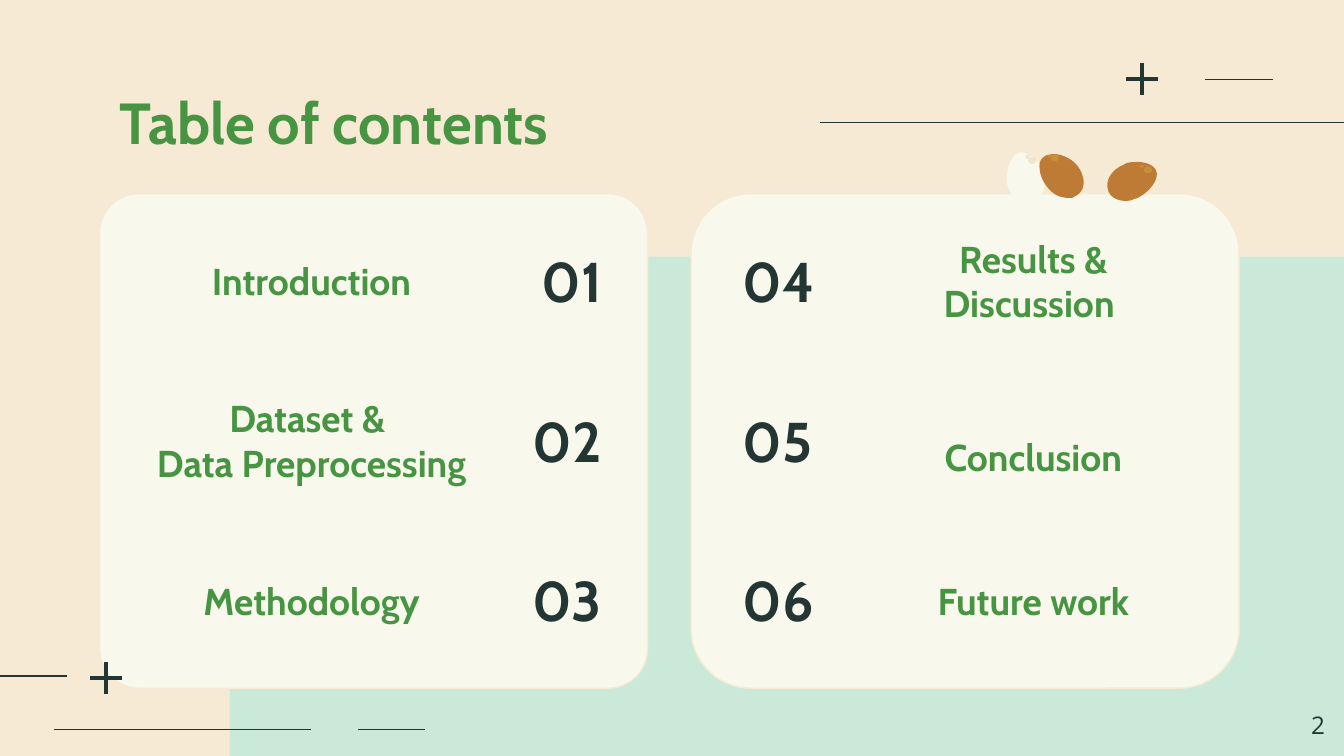
from dataclasses import dataclass
from lxml.etree import SubElement
from pptx import Presentation
from pptx.dml.color import RGBColor
from pptx.enum.shapes import MSO_CONNECTOR, MSO_SHAPE
from pptx.enum.text import MSO_ANCHOR, PP_ALIGN
from pptx.oxml.ns import qn
from pptx.util import Cm, Pt


@dataclass(frozen=True)
class Theme:
    sand: str = "F6EAD4"
    mint: str = "CAE9D9"
    cream: str = "F8F8EC"
    green: str = "479442"
    dark: str = "233634"
    brown: str = "BD7B36"
    yellow: str = "FAEA3F"
    heading_font: str = "Cabin"
    body_font: str = "Open Sans"
    title_size: float = 31
    number_size: float = 30
    label_size: float = 20
    page_size: float = 13
    line_width: float = 0.75


class Deck:
    def __init__(self, s, theme):
        self.s = s
        self.theme = theme
        s.background.fill.solid()
        s.background.fill.fore_color.rgb = RGBColor.from_string(theme.sand)

    def paint(self, sp, fill, line=None, alpha=None):
        sp.shadow.inherit = False
        sp.fill.solid()
        sp.fill.fore_color.rgb = RGBColor.from_string(fill)
        if alpha:
            color = sp._element.spPr.find(qn("a:solidFill"))[0]
            SubElement(color, qn("a:alpha"), val=str(alpha * 1000))
        if line:
            sp.line.color.rgb = RGBColor.from_string(line)
            sp.line.width = Pt(self.theme.line_width)
        else:
            sp.line.fill.background()

    def shape(self, kind, box, fill, line=None, adj=None, alpha=None):
        sp = self.s.shapes.add_shape(kind, *map(Cm, box))
        if adj is not None:
            sp.adjustments[0] = adj
        self.paint(sp, fill, line, alpha)
        return sp

    def outline(self, points, fill, rotation=0):
        points = [(Cm(x), Cm(y)) for x, y in points]
        builder = self.s.shapes.build_freeform(*points[0], scale=1.0)
        builder.add_line_segments(points[1:], close=True)
        sp = builder.convert_to_shape()
        sp.rotation = rotation
        self.paint(sp, fill)

    def curve(self, start, segments, fill, rotation, steps=10):
        points = [start]
        for c1, c2, end in segments:
            p0 = points[-1]
            for i in range(1, steps + 1):
                t = i / steps
                u = 1 - t
                points.append(tuple(
                    u**3 * a + 3 * u * u * t * b + 3 * u * t * t * c + t**3 * d
                    for a, b, c, d in zip(p0, c1, c2, end)))
        self.outline(points, fill, rotation)

    def plus(self, cx, cy, size=0.61, thick=0.07):
        for w, h in ((size, thick), (thick, size)):
            left, right, top, bottom = cx - w / 2, cx + w / 2, cy - h / 2, cy + h / 2
            self.outline([(left, top), (left, bottom), (right, bottom), (right, top)],
                         self.theme.dark)

    def line(self, x1, x2, y):
        cxn = self.s.shapes.add_connector(
            MSO_CONNECTOR.STRAIGHT, Cm(x1), Cm(y), Cm(x2), Cm(y))
        cxn.line.color.rgb = RGBColor.from_string(self.theme.dark)
        cxn.line.width = Pt(self.theme.line_width)
        SubElement(cxn._element.spPr, qn("a:effectLst"))

    def text(self, box, text, size, color, align=PP_ALIGN.LEFT,
             anchor=MSO_ANCHOR.MIDDLE, font=None, bold=True):
        tf = self.s.shapes.add_textbox(*map(Cm, box)).text_frame
        tf.word_wrap = True
        tf.vertical_anchor = anchor
        tf.margin_left = tf.margin_right = tf.margin_top = tf.margin_bottom = Cm(0.25)
        tf.text = text
        for p in tf.paragraphs:
            p.alignment = align
            for r in p.runs:
                r.font.size = Pt(size)
                r.font.bold = bold
                r.font.name = font or self.theme.heading_font
                r.font.color.rgb = RGBColor.from_string(color)


ROW_PITCH = 3.02
EGG_ROTATION = -6.8
COLUMNS = [
    (1.88, 0.08, 2.64, 9.5, PP_ALIGN.RIGHT,
     [("Introduction", 0), ("Dataset & \nData Preprocessing", 0), ("Methodology", 0)]),
    (13.06, 0.121, 16.28, 13.79, PP_ALIGN.LEFT,
     [("Results & Discussion ", 0), ("Conclusion", 0.31), ("Future work", 0)]),
]
EGGS = [
    ("cream", (19.33, 2.87), [
        ((19.15, 2.9), (19.02, 3.18), (19.02, 3.43)),
        ((19.05, 3.66), (19.2, 3.86), (19.41, 3.84)),
        ((19.61, 3.84), (19.74, 3.63), (19.74, 3.38)),
        ((19.71, 3.15), (19.53, 2.87), (19.33, 2.87))],
     "brown", 14, [(19.43, 2.97, 0.15, 0.13), (19.38, 2.92, 0.08, 0.08)]),
    ("brown", (19.86, 2.9), [
        ((19.81, 2.9), (19.79, 2.92), (19.74, 2.95)),
        ((19.61, 3.05), (19.66, 3.38), (19.81, 3.56)),
        ((19.91, 3.71), (20.09, 3.76), (20.22, 3.76)),
        ((20.27, 3.73), (20.32, 3.73), (20.37, 3.68)),
        ((20.5, 3.58), (20.5, 3.33), (20.35, 3.12)),
        ((20.22, 2.97), (20.02, 2.87), (19.86, 2.9))],
     "yellow", 18, [(19.86, 2.92, 0.15, 0.13), (19.79, 2.92, 0.08, 0.05)]),
    ("brown", (21.36, 3.07), [
        ((21.31, 3.07), (21.29, 3.1), (21.26, 3.1)),
        ((21.01, 3.18), (20.88, 3.38), (20.93, 3.56)),
        ((20.96, 3.71), (21.16, 3.81), (21.36, 3.78)),
        ((21.39, 3.76), (21.41, 3.76), (21.44, 3.76)),
        ((21.69, 3.68), (21.92, 3.45), (21.87, 3.28)),
        ((21.82, 3.12), (21.56, 3.05), (21.36, 3.07))],
     "yellow", 18, [(21.62, 3.15, 0.15, 0.13), (21.54, 3.12, 0.08, 0.05)]),
]


def main():
    theme = Theme()
    prs = Presentation()
    prs.slide_width, prs.slide_height = Cm(25.4), Cm(14.29)
    deck = Deck(prs.slides.add_slide(prs.slide_layouts[6]), theme)

    panel = deck.shape(MSO_SHAPE.ROUND_1_RECTANGLE, (4.34, 4.85, 21.06, 9.44),
                       theme.mint, adj=0.307)
    panel._element.spPr.find(qn("a:xfrm")).set("flipH", "1")
    deck.plus(21.58, 1.5)
    for x1, x2, y in ((22.78, 24.05, 1.5), (6.76, 8.03, 13.79), (0, 1.27, 12.78)):
        deck.line(x1, x2, y)

    for card_x, adj, *_ in COLUMNS:
        deck.shape(MSO_SHAPE.ROUNDED_RECTANGLE, (card_x, 3.66, 10.36, 9.35),
                   theme.cream, theme.sand, adj)
    number = 1
    for _, _, label_x, number_x, align, entries in COLUMNS:
        for row, (label, drop) in enumerate(entries):
            y = row * ROW_PITCH
            deck.text((label_x, 4.57 + y + drop, 6.5, 1.47), label,
                      theme.label_size, theme.green, PP_ALIGN.CENTER)
            deck.text((number_x, 4.47 + y, 2.13, 1.65), f"{number:02}",
                      theme.number_size, theme.dark, align)
            number += 1

    deck.text((2.01, 1.5, 21.41, 1.57), "Table of contents", theme.title_size, theme.green)
    deck.line(15.49, 25.4, 2.31)
    for fill, start, segments, spot_fill, alpha, spots in EGGS:
        deck.curve(start, segments, getattr(theme, fill), EGG_ROTATION)
        for box in spots:
            spot = deck.shape(MSO_SHAPE.OVAL, box, getattr(theme, spot_fill), alpha=alpha)
            spot.rotation = EGG_ROTATION
    deck.plus(2.01, 12.81)
    deck.line(1.02, 5.87, 13.79)
    deck.text((23.77, 13.18, 1.52, 1.09), "2", theme.page_size, theme.dark,
              PP_ALIGN.RIGHT, MSO_ANCHOR.TOP, theme.body_font, False)
    prs.save("out.pptx")


if __name__ == "__main__":
    main()
